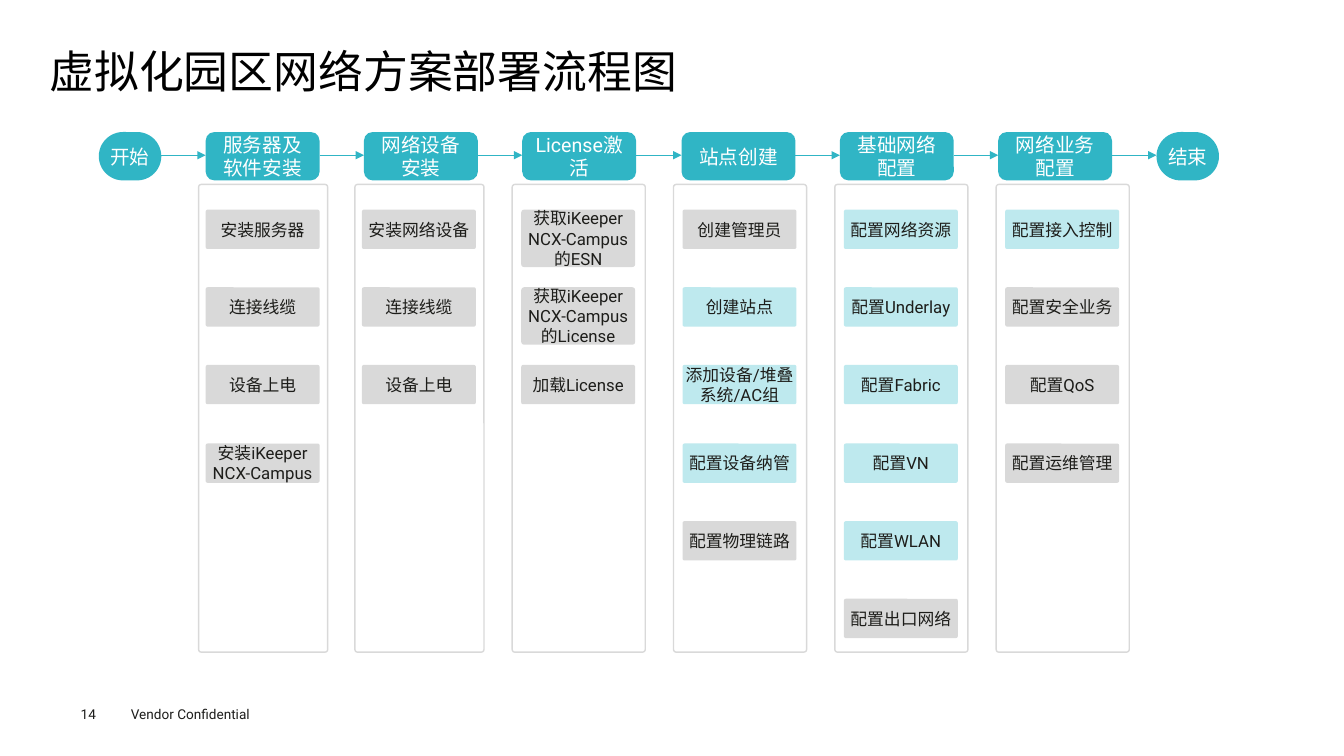
from lxml import etree
from pptx import Presentation
from pptx.dml.color import RGBColor
from pptx.enum.shapes import MSO_CONNECTOR, MSO_SHAPE
from pptx.enum.text import MSO_ANCHOR, PP_ALIGN
from pptx.oxml.ns import qn
from pptx.util import Pt

PX = 9144  # 100 px to the inch
TEAL, PALE, GREY, WHITE, INK = "30B5C5", "BEE9EE", "D9D9D9", "FFFFFF", "1D1D1A"
FONT = "Roboto"

HEADER_LEFT, HEADER_TOP, HEADER_PITCH = 204, 131, 157.2
BOX_WIDTH, HEADER_HEIGHT = 113, 48
TERMINAL_WIDTH = 62
ARROW_Y = 154
FRAME_TOP, FRAME_HEIGHT = 183, 464
TASK_TOP, TASK_PITCH, LINE_HEIGHT = 208, 77.2, 39

# header, frame left, frame width, tasks as (text, fill, height)
STAGES = [
    ("服务器及软件安装", 197, 128, [
        ("安装服务器", GREY, 39), ("连接线缆", GREY, 39), ("设备上电", GREY, 39),
        ("安装iKeeper NCX-Campus", GREY, 39)]),
    ("网络设备安装", 352, 128, [
        ("安装网络设备", GREY, 39), ("连接线缆", GREY, 39), ("设备上电", GREY, 39)]),
    ("License激活", 508, 132, [
        ("获取iKeeper NCX-Campus的ESN", GREY, 57),
        ("获取iKeeper NCX-Campus的License", GREY, 57), ("加载License", GREY, 39)]),
    ("站点创建", 668, 132, [
        ("创建管理员", GREY, 39), ("创建站点", PALE, 39),
        ("添加设备/堆叠系统/AC组", PALE, 39), ("配置设备纳管", PALE, 39),
        ("配置物理链路", GREY, 39)]),
    ("基础网络配置", 828, 132, [
        ("配置网络资源", PALE, 39), ("配置Underlay", PALE, 39), ("配置Fabric", PALE, 39),
        ("配置VN", PALE, 39), ("配置WLAN", PALE, 39), ("配置出口网络", GREY, 39)]),
    ("网络业务配置", 988, 132, [
        ("配置接入控制", PALE, 39), ("配置安全业务", GREY, 39), ("配置QoS", GREY, 39),
        ("配置运维管理", GREY, 39)]),
]


def rgb(value):
    return RGBColor.from_string(value)


def add_box(left, top, width, height, rounding, fill, text="", size=12, color=INK):
    """Add a rounded box; without a fill it is a grey outline."""
    shape = slide.shapes.add_shape(MSO_SHAPE.ROUNDED_RECTANGLE, left * PX, top * PX,
                                   width * PX, height * PX)
    shape.adjustments[0] = rounding
    shape.shadow.inherit = False
    if fill:
        shape.fill.solid()
        shape.fill.fore_color.rgb = rgb(fill)
        shape.line.fill.background()
    else:
        shape.fill.background()
        shape.line.color.rgb = rgb(GREY)
        shape.line.width = Pt(1)
    if text:
        frame = shape.text_frame
        frame.word_wrap = True
        frame.vertical_anchor = MSO_ANCHOR.MIDDLE
        paragraph = frame.paragraphs[0]
        paragraph.text = text
        paragraph.alignment = PP_ALIGN.CENTER
        paragraph.font.size = Pt(size)
        paragraph.font.name = FONT
        paragraph.font.color.rgb = rgb(color)
    return shape


presentation = Presentation()
presentation.slide_width = 1333 * PX
presentation.slide_height = 750 * PX
slide = presentation.slides.add_slide(presentation.slide_layouts[6])

# Title and footer
for text, left, top, width, height, inset, size, color, spacing in [
    ("虚拟化园区网络方案部署流程图", 49, 49, 1235, 54, 0, 32, "000000", 0.9),
    ("14", 80, 700, 55, 16, 0, 9.7, "1D1D1B", 1.0),
    ("Vendor Confidential", 120, 695, 160, 27, 10, 9.7, "1D1D1B", 1.0),
]:
    label = slide.shapes.add_textbox(left * PX, top * PX, width * PX, height * PX)
    frame = label.text_frame
    frame.word_wrap = True
    frame.margin_left = frame.margin_right = inset * PX
    frame.margin_top = frame.margin_bottom = inset // 2 * PX
    paragraph = frame.paragraphs[0]
    paragraph.text = text
    paragraph.line_spacing = spacing
    paragraph.font.size = Pt(size)
    paragraph.font.name = FONT
    paragraph.font.color.rgb = rgb(color)

# Start and end
header_lefts = [HEADER_LEFT + round(HEADER_PITCH * i) for i in range(len(STAGES) + 1)]
start_left, end_left = 98, header_lefts[-1]
for text, left in [("开始", start_left), ("结束", end_left)]:
    terminal = add_box(left, HEADER_TOP, TERMINAL_WIDTH, HEADER_HEIGHT, 0.5, TEAL,
                       text, 14, WHITE)
    terminal.text_frame.word_wrap = False

# Stages with their tasks
for (header, frame_left, frame_width, tasks), header_left in zip(STAGES, header_lefts):
    add_box(header_left, HEADER_TOP, BOX_WIDTH, HEADER_HEIGHT, 0.18, TEAL, header, 14, WHITE)
    add_box(frame_left, FRAME_TOP, frame_width, FRAME_HEIGHT, 0.02, None)
    task_left = frame_left + (frame_width - BOX_WIDTH) // 2
    for row, (text, fill, height) in enumerate(tasks):
        task = add_box(task_left, TASK_TOP + round(TASK_PITCH * row), BOX_WIDTH, height,
                       0.05, fill, text)
        frame = task.text_frame
        frame.margin_left = frame.margin_right = frame.margin_top = frame.margin_bottom = 0

# Arrows along the header row
arrow_starts = [start_left + TERMINAL_WIDTH] + [left + BOX_WIDTH for left in header_lefts[:-1]]
for begin, end in zip(arrow_starts, header_lefts):
    arrow = slide.shapes.add_connector(MSO_CONNECTOR.STRAIGHT, begin * PX, ARROW_Y * PX,
                                       end * PX, ARROW_Y * PX)
    arrow.line.color.rgb = rgb(TEAL)
    arrow.line.width = Pt(0.5)
    etree.SubElement(arrow.line._get_or_add_ln(), qn("a:tailEnd"), type="triangle")
    etree.SubElement(arrow._element.spPr, qn("a:effectLst"))

presentation.save("out.pptx")
